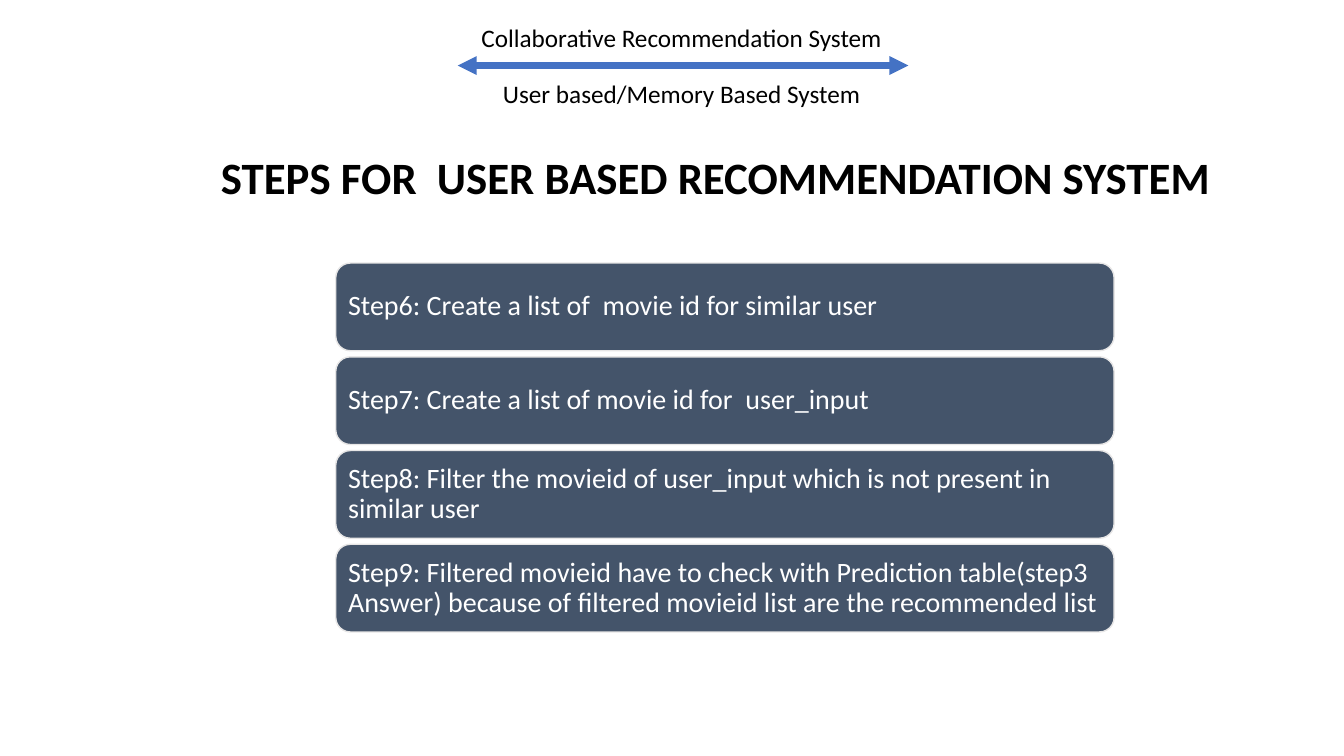
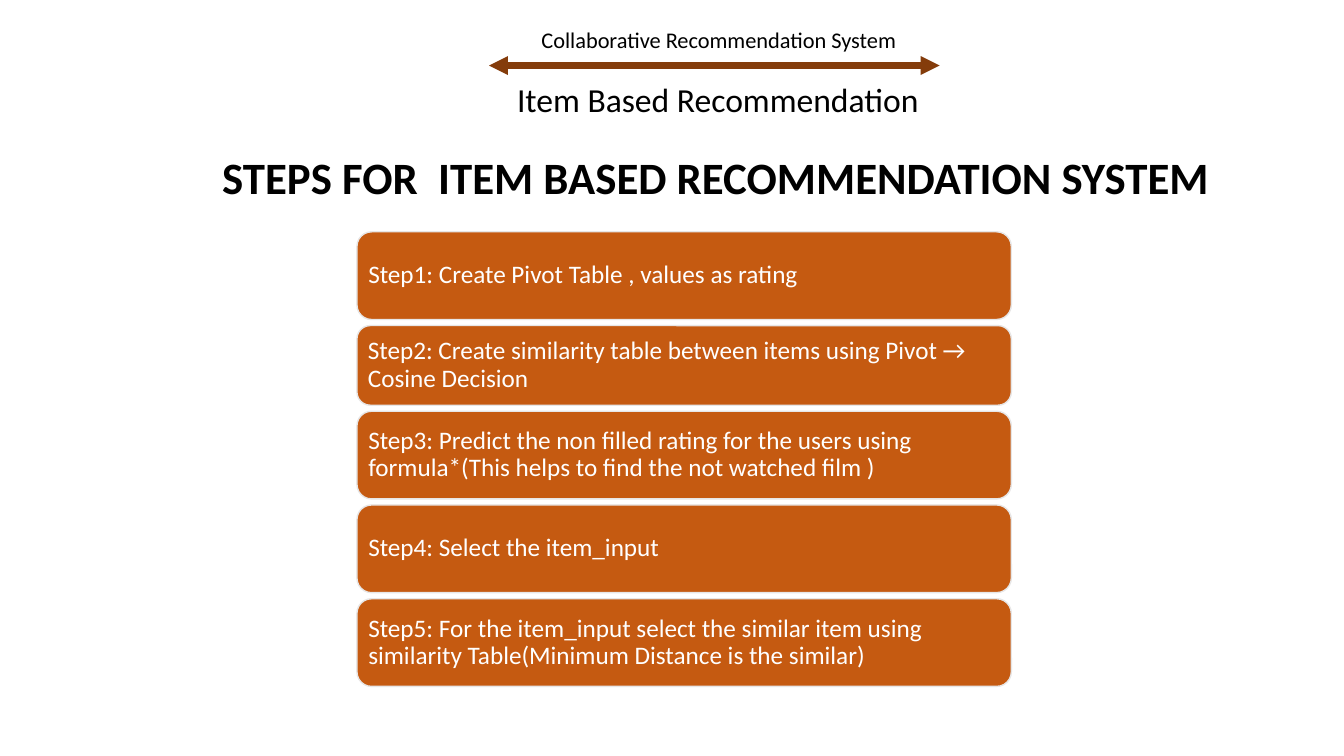
from dataclasses import dataclass

from lxml import etree
from pptx import Presentation
from pptx.dml.color import RGBColor
from pptx.enum import shapes, text
from pptx.oxml import ns
from pptx.util import Inches, Pt


@dataclass(frozen=True)
class Theme:
    font: str = "Calibri"
    ink: str = "000000"
    light: str = "FFFFFF"
    box_line: str = "E7E6E6"
    title_size: int = 32
    arrow_width: float = 4.5


THEME = Theme()
STEP_HEIGHT = 0.87
STEP_GAP = 0.06
ARROW_LENGTH = 4.47
ARROW_TOP = 0.65

USER_BASED = dict(
    title="STEPS FOR  USER BASED RECOMMENDATION SYSTEM",
    labels=[
        ("Collaborative Recommendation System", 6.76, 0.17, 4.22, 0.4, 18),
        ("User based/Memory Based System", 6.76, 0.73, 3.78, 0.4, 18),
    ],
    arrow=(4.54, "4472C4"),
    box=(3.33, 2.61, 7.72),
    box_style=("44546A", 20, 0.08),
    steps=[
        ("Step6: Create a list of  movie id for similar user", STEP_HEIGHT),
        ("Step7: Create a list of movie id for  user_input", STEP_HEIGHT),
        ("Step8: Filter the movieid of user_input which is not present in "
         "similar user", STEP_HEIGHT),
        ("Step9: Filtered movieid have to check with Prediction table(step3 "
         "Answer) because of filtered movieid list are the recommended list",
         STEP_HEIGHT),
    ],
)

ITEM_BASED = dict(
    title="STEPS FOR  ITEM BASED RECOMMENDATION SYSTEM",
    labels=[
        ("Collaborative Recommendation System", 7.13, 0.21, 3.77, 0.37, 16),
        ("Item Based Recommendation", 7.12, 0.73, 7.86, 0.5, 24),
    ],
    arrow=(4.85, "843C0B"),
    box=(3.54, 2.3, 6.49),
    box_style=("C55A11", 18, 0.07),
    steps=[
        ("Step1: Create Pivot Table , values as rating", STEP_HEIGHT),
        ("Step2: Create similarity table between items using Pivot → "
         "Cosine Decision", 0.79),
        ("Step3: Predict the non filled rating for the users using "
         "formula*(This helps to find the not watched film )", STEP_HEIGHT),
        ("Step4: Select the item_input", STEP_HEIGHT),
        ("Step5: For the item_input select the similar item using "
         "similarity Table(Minimum Distance is the similar)", STEP_HEIGHT),
    ],
)


def rgb(value):
    return RGBColor.from_string(value)


def set_text(tf, content, size, color, align, bold=False):
    tf.text = content
    p = tf.paragraphs[0]
    p.alignment = align
    font = p.runs[0].font
    font.name = THEME.font
    font.size = Pt(size)
    font.bold = bold
    font.color.rgb = rgb(color)
    return p


def add_label(s, content, center, top, width, height, size, bold=False,
              wrap=False):
    sp = s.shapes.add_textbox(Inches(center - width / 2), Inches(top),
                              Inches(width), Inches(height))
    tf = sp.text_frame
    tf.word_wrap = wrap
    set_text(tf, content, size, THEME.ink, text.PP_ALIGN.CENTER, bold)


def add_title(s, content):
    add_label(s, content, 7.1, 1.44, 11.06, 0.64, THEME.title_size,
              bold=True, wrap=True)


def add_double_arrow(s, left, color):
    cxn = s.shapes.add_connector(
        shapes.MSO_CONNECTOR.STRAIGHT, Inches(left), Inches(ARROW_TOP),
        Inches(left + ARROW_LENGTH), Inches(ARROW_TOP))
    cxn.line.color.rgb = rgb(color)
    cxn.line.width = Pt(THEME.arrow_width)
    ln = cxn.line._get_or_add_ln()
    for end in ("a:headEnd", "a:tailEnd"):
        etree.SubElement(ln, ns.qn(end), type="triangle")
    etree.SubElement(ln.getparent(), ns.qn("a:effectLst"))


def add_step(s, content, left, top, width, height, fill, size, inset):
    sp = s.shapes.add_shape(
        shapes.MSO_SHAPE.ROUNDED_RECTANGLE, Inches(left), Inches(top),
        Inches(width), Inches(height))
    sp.shadow.inherit = False
    sp.fill.solid()
    sp.fill.fore_color.rgb = rgb(fill)
    sp.line.color.rgb = rgb(THEME.box_line)
    sp.line.width = Pt(1)
    tf = sp.text_frame
    tf.word_wrap = True
    tf.vertical_anchor = text.MSO_ANCHOR.MIDDLE
    tf.margin_left = tf.margin_right = Inches(inset)
    tf.margin_top = tf.margin_bottom = Inches(inset)
    p = set_text(tf, content, size, THEME.light, text.PP_ALIGN.LEFT)
    p.line_spacing = 0.9


def add_steps(s, steps, box, box_style):
    left, top, width = box
    for content, height in steps:
        add_step(s, content, left, top, width, height, *box_style)
        top += height + STEP_GAP


def add_steps_slide(prs, title, labels, arrow, box, box_style, steps):
    s = prs.slides.add_slide(prs.slide_layouts[6])
    add_steps(s, steps, box, box_style)
    for label in labels:
        add_label(s, *label)
    add_double_arrow(s, *arrow)
    add_title(s, title)


def main():
    prs = Presentation()
    prs.slide_width = Inches(13.33)
    prs.slide_height = Inches(7.5)
    for content in (USER_BASED, ITEM_BASED):
        add_steps_slide(prs, **content)
    prs.save("out.pptx")


if __name__ == "__main__":
    main()
